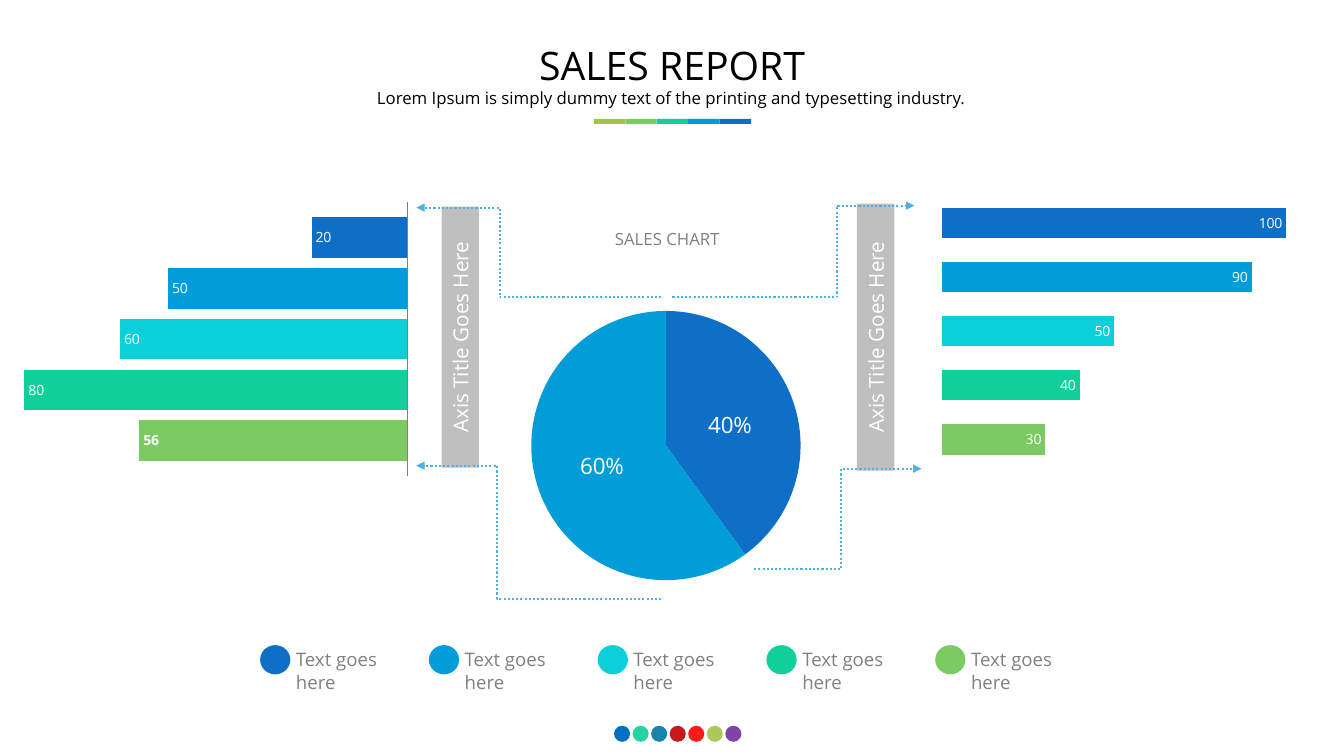
from dataclasses import dataclass

from pptx import Presentation
from pptx.chart.data import CategoryChartData
from pptx.dml.color import RGBColor
from pptx.enum.chart import XL_CHART_TYPE, XL_LABEL_POSITION, XL_TICK_LABEL_POSITION, XL_TICK_MARK
from pptx.enum.dml import MSO_LINE
from pptx.enum.shapes import MSO_CONNECTOR, MSO_SHAPE
from pptx.enum.text import MSO_ANCHOR, PP_ALIGN
from pptx.oxml.ns import qn
from pptx.oxml.xmlchemy import OxmlElement
from pptx.util import Inches, Pt

BAR, PIE = XL_CHART_TYPE.BAR_CLUSTERED, XL_CHART_TYPE.PIE
INSIDE_END, CENTER_LABEL = XL_LABEL_POSITION.INSIDE_END, XL_LABEL_POSITION.CENTER
NO_LABELS, NO_TICKS = XL_TICK_LABEL_POSITION.NONE, XL_TICK_MARK.NONE
RECT, OVAL = MSO_SHAPE.RECTANGLE, MSO_SHAPE.OVAL
ELBOW, DOTTED = MSO_CONNECTOR.ELBOW, MSO_LINE.ROUND_DOT
LEFT, CENTER = PP_ALIGN.LEFT, PP_ALIGN.CENTER
TOP, MIDDLE = MSO_ANCHOR.TOP, MSO_ANCHOR.MIDDLE

CELL = 0.1  # the slide is a grid of square cells, this many inches wide


@dataclass(frozen=True)
class Theme:
    font: str = "Open Sans"
    heading: float = 28
    subtitle: float = 12
    axis_title: float = 14.7
    legend: float = 13.3
    bar_label: float = 10
    pie_label: float = 16
    ink: str = "000000"
    white: str = "FFFFFF"
    gray: str = "808080"
    panel: str = "BFBFBF"
    arrow: str = "4FB1E2"
    series: tuple = ("0F6FC6", "009DD9", "0BD0D9", "10CF9B", "7CCA62")
    strip: tuple = ("A5C249", "7CCA62", "10CF9B", "009DD9", "0F6FC6")
    dots: tuple = ("0070C0", "10CF9B", "0076A3", "C00000", "FF0000", "A5C249", "7030A0")


THEME = Theme()


def grid(*cells):
    return [Inches(CELL * count) for count in cells]


def rgb(color):
    return RGBColor.from_string(color)


def apply_format(target, values):
    for name, value in values.items():
        setattr(target, name, value)


def style_font(font, size, color, bold=False):
    apply_format(font, {"name": THEME.font, "size": Pt(size), "bold": bold})
    font.color.rgb = rgb(color)


def add_child(parent, tag, **attributes):
    child = OxmlElement(tag)
    for name, value in attributes.items():
        child.set(name, str(value))
    parent.append(child)
    return child


def write(shape, text, size, color, align=CENTER, anchor=MIDDLE, inset=0):
    frame = shape.text_frame
    margins = dict.fromkeys(("margin_left", "margin_right", "margin_top", "margin_bottom"), Inches(inset))
    apply_format(frame, {"word_wrap": True, "vertical_anchor": anchor, **margins})
    paragraph = frame.paragraphs[0]
    paragraph.alignment = align
    run = paragraph.add_run()
    run.text = text
    style_font(run.font, size, color)


def add_text(slide, box, text, size, color, **layout):
    write(slide.shapes.add_textbox(*grid(*box)), text, size, color, **layout)


def add_block(slide, kind, box, color, opacity=100):
    block = slide.shapes.add_shape(kind, *grid(*box))
    block.shadow.inherit = False
    block.fill.solid()
    block.fill.fore_color.rgb = rgb(color)
    block.line.fill.background()
    if opacity < 100:
        tint = block.fill._xPr.find(qn("a:solidFill"))[0]
        add_child(tint, "a:alpha", val=opacity * 1000)
    return block


def add_axis_title(slide, box):
    panel = add_block(slide, RECT, box, THEME.panel)
    panel.rotation = 270
    write(panel, "Axis Title Goes Here", THEME.axis_title, THEME.white)


def add_arrow(slide, start, end, bend):
    arrow = slide.shapes.add_connector(ELBOW, *grid(*start, *end))
    apply_format(arrow.line, {"width": Pt(1.5), "dash_style": DOTTED})
    arrow.line.color.rgb = rgb(THEME.arrow)
    add_child(arrow.line._get_or_add_ln(), "a:tailEnd", type="triangle")
    properties = arrow._element.spPr
    add_child(properties, "a:effectLst")
    guides = properties.find(qn("a:prstGeom")).get_or_add_avLst()
    add_child(guides, "a:gd", name="adj1", fmla=f"val {round(bend * 100000)}")


def set_layout(parent, index, **shares):
    """Place a chart part by its shares of the chart's size."""
    old = parent.find(qn("c:layout"))
    if old is not None:
        parent.remove(old)
    layout = OxmlElement("c:layout")
    manual = add_child(layout, "c:manualLayout")
    if "w" in shares:
        add_child(manual, "c:layoutTarget", val="inner")
    for name in ("x", "y"):
        add_child(manual, f"c:{name}Mode", val="edge")
    for name, share in shares.items():
        add_child(manual, f"c:{name}", val=share)
    parent.insert(index, layout)


def add_chart(slide, kind, box, categories, series, plot_area, label_size):
    data = CategoryChartData()
    data.categories = categories
    for number, values in enumerate(series, 1):
        data.add_series(f"Series {number}", values)
    chart = slide.shapes.add_chart(kind, *grid(*box), data).chart
    apply_format(chart, {"has_legend": False, "has_title": False})
    style_font(chart.font, label_size, THEME.white)
    set_layout(chart._chartSpace.chart.plotArea, 0, **plot_area)
    return chart


def paint(part, color):
    part.format.fill.solid()
    part.format.fill.fore_color.rgb = rgb(color)


def add_bars(slide, box, values, plot_area, maximum, gap, overlap, mirrored=False):
    chart = add_chart(slide, BAR, box, ["1"], [[value] for value in values], plot_area, THEME.bar_label)
    apply_format(chart.plots[0], {"gap_width": gap, "overlap": overlap, "vary_by_categories": False})
    apply_format(chart.value_axis, {"minimum_scale": 0, "maximum_scale": maximum, "visible": False,
                                    "has_major_gridlines": False, "reverse_order": mirrored})
    apply_format(chart.category_axis, {"reverse_order": True, "visible": mirrored, "major_tick_mark": NO_TICKS,
                                       "tick_label_position": NO_LABELS})
    if mirrored:
        chart.category_axis.format.line.color.rgb = rgb(THEME.gray)
    for position, (bar, color) in enumerate(zip(chart.plots[0].series, THEME.series)):
        paint(bar, color)
        labels = bar.data_labels
        apply_format(labels, {"show_value": True, "position": INSIDE_END})
        last_mirrored = mirrored and position == len(values) - 1
        style_font(labels.font, THEME.bar_label, THEME.white, bold=last_mirrored)


def add_sales_pie(slide):
    plot_area = {"x": 0.15, "y": 0.25, "w": 0.7, "h": 0.61}
    chart = add_chart(slide, PIE, (46.9, 19.9, 38.3, 43.8), ["1", "2"], [[40, 60]], plot_area, THEME.pie_label)
    title = chart.chart_title
    title.text_frame.text = "SALES CHART"
    style_font(title.text_frame.paragraphs[0].runs[0].font, THEME.subtitle, THEME.gray)
    set_layout(title._element, 1, x=0.36, y=0.05)
    plot = chart.plots[0]
    for index, color in enumerate(THEME.series[:2]):
        paint(plot.series[0].points[index], color)
    plot.has_data_labels = True
    apply_format(plot.data_labels, {"show_percentage": True, "show_value": False, "position": CENTER_LABEL,
                                    "number_format": "0%", "number_format_is_linked": False})
    style_font(plot.data_labels.font, THEME.pie_label, THEME.white)


def main():
    deck = Presentation()
    deck.slide_width, deck.slide_height = Inches(13.33), Inches(7.5)
    slide = deck.slides.add_slide(deck.slide_layouts[6])

    # Footer dots
    for index, color in enumerate(THEME.dots):
        add_block(slide, OVAL, (60.9 + 1.84 * index, 72, 1.6, 1.6), color, opacity=90 if index else 100)

    # Axis titles, pie, bars on both sides
    add_axis_title(slide, (32.7, 31.6, 25.9, 3.7))
    add_axis_title(slide, (73.6, 31.6, 26.5, 3.7))
    add_sales_pie(slide)
    add_bars(slide, (91.1, 18.4, 43.3, 28.2), (100, 90, 50, 40, 30),
             {"x": 0.054, "y": 0.078, "w": 0.946, "h": 0.87}, maximum=120, gap=2, overlap=-78)
    add_bars(slide, (-3.3, 19.5, 44.7, 28.2), (20, 50, 60, 80, 56),
             {"x": 0.022, "y": 0.02, "w": 0.956, "h": 0.964}, maximum=90, gap=75, overlap=-25, mirrored=True)

    # Arrows from the pie to the bars
    for start, end, bend in (((66.7, 29.5), (90.7, 20.4), 0.68), ((74.8, 56.5), (91.4, 46.5), 0.52),
                             ((65.6, 29.5), (41.3, 20.6), 0.66), ((65.6, 59.4), (41.3, 46.2), 0.67)):
        add_arrow(slide, start, end, bend)

    # Legend
    for index, color in enumerate(THEME.series):
        left = 25.8 + 16.74 * index
        add_block(slide, OVAL, (left, 64, 3, 2.9), color)
        add_text(slide, (left + 3.55, 64.3, 12.2, 4.5), "Text goes here", THEME.legend, THEME.gray,
                 align=LEFT, anchor=TOP)

    # Heading with its colour strip
    add_text(slide, (27.1, 4, 79.1, 4.9), "SALES REPORT", THEME.heading, THEME.ink)
    add_text(slide, (32.9, 8.2, 67.4, 3), "Lorem Ipsum is simply dummy text of the printing and typesetting industry.",
             THEME.subtitle, THEME.ink, anchor=TOP, inset=0.05)
    for index, color in enumerate(THEME.strip):
        add_block(slide, RECT, (58.9 + 3.12 * index, 11.8, 3.12, 0.5), color)

    deck.save("out.pptx")


if __name__ == "__main__":
    main()
